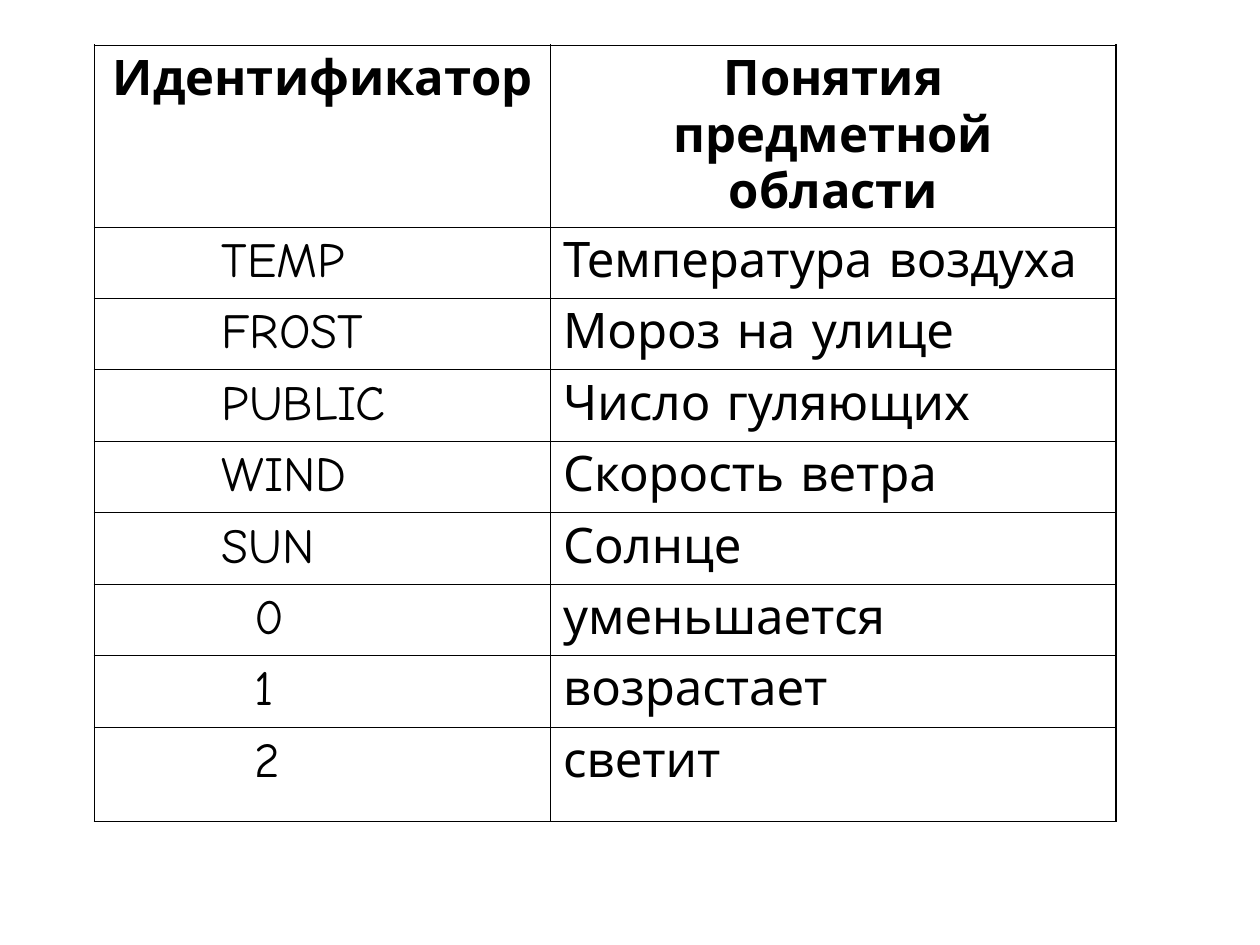
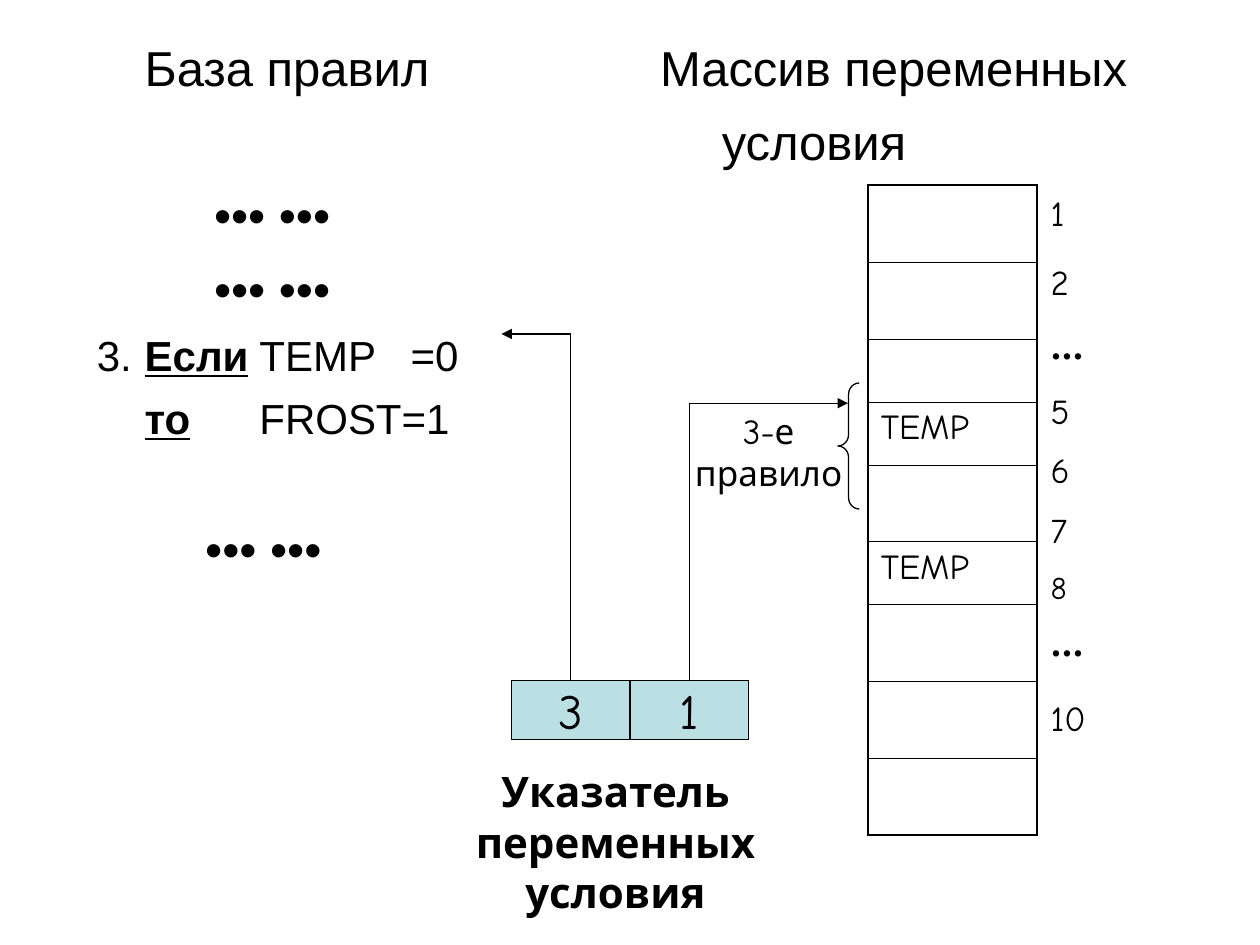
from itertools import accumulate

from lxml import etree
from pptx import Presentation
from pptx.dml.color import RGBColor
from pptx.enum.shapes import MSO_CONNECTOR, MSO_SHAPE
from pptx.enum.text import MSO_ANCHOR, PP_ALIGN
from pptx.oxml.ns import qn
from pptx.util import Inches, Pt

BLACK = RGBColor(0x00, 0x00, 0x00)
PALE_TEAL = RGBColor(0xBB, 0xE0, 0xE3)
LEFT, CENTER = PP_ALIGN.LEFT, PP_ALIGN.CENTER
MIDDLE = MSO_ANCHOR.MIDDLE
RECTANGLE, BRACE = MSO_SHAPE.RECTANGLE, MSO_SHAPE.LEFT_BRACE
STRAIGHT = MSO_CONNECTOR.STRAIGHT
HAND_FONT, PLAIN_FONT = "Comic Neue", "Arial"
GRID_COLUMNS, GRID_ROWS = 100, 75
OUTER_BORDER, INNER_BORDER, LINE_WIDTH = 1.08, 0.45, 0.75
TOP_SIDE = 0

IDENTIFIERS = [
    ("TEMP", "Температура воздуха"),
    ("FROST", "Мороз на улице"),
    ("PUBLIC", "Число гуляющих"),
    ("WIND", "Скорость ветра"),
    ("SUN", "Солнце"),
    ("0", "уменьшается"),
    ("1", "возрастает"),
    ("2", "светит"),
]

RULE_LINES = [
    ("\tБаза правил\tМассив переменных", 28, 0, (3.8, 44.7)),
    ("\tусловия", 28, 8.4, (49.6,)),
    ("\t••• •••", 28, 8.4, (9.3,)),
    ("\t••• •••", 28, 8.4, (9.3,)),
    ("3.\t*Если*\tTEMP\t=0", 24, 7.2, (3.8, 12.9, 24.9)),
    ("\t*то*\tFROST=1", 24, 7.2, (3.8, 12.9)),
    ("\t••• •••", 28, 43, (8.6,)),
]


class SlideBuilder:
    def __init__(self, presentation):
        self.presentation = presentation
        self.column = presentation.slide_width / GRID_COLUMNS
        self.row = presentation.slide_height / GRID_ROWS
        self.slide = None

    def new_slide(self):
        self.slide = self.presentation.slides.add_slide(
            self.presentation.slide_layouts[6])

    def across(self, columns):
        return round(columns * self.column)

    def down(self, rows):
        return round(rows * self.row)

    def box(self, left, top, width, height):
        return (self.across(left), self.down(top),
                self.across(width), self.down(height))

    def style_run(self, run, size, font=HAND_FONT, bold=False):
        run.font.name = font
        run.font.size = Pt(size)
        run.font.bold = bold
        run.font.color.rgb = BLACK

    def set_text(self, text_frame, text, size, align=LEFT, bold=False):
        text_frame.text = text
        for paragraph in text_frame.paragraphs:
            paragraph.alignment = align
            for run in paragraph.runs:
                self.style_run(run, size, bold=bold)

    def text(self, place, text, size, align=LEFT, bold=False):
        text_frame = self.slide.shapes.add_textbox(*self.box(*place)).text_frame
        text_frame.word_wrap = True
        self.set_text(text_frame, text, size, align, bold)

    def tabbed_text(self, place, lines):
        text_frame = self.slide.shapes.add_textbox(*self.box(*place)).text_frame
        text_frame.word_wrap = True
        for index, (line, size, space_before, stops) in enumerate(lines):
            paragraph = (text_frame.add_paragraph() if index
                         else text_frame.paragraphs[0])
            properties = paragraph._p.get_or_add_pPr()
            tabs = etree.SubElement(properties, qn("a:tabLst"))
            for stop in stops:
                etree.SubElement(tabs, qn("a:tab"),
                                 pos=str(self.across(stop)), algn="l")
            paragraph.space_before = Pt(space_before)
            for part, words in enumerate(line.split("*")):
                if words:
                    keyword = part % 2 == 1
                    run = paragraph.add_run()
                    run.text = words
                    self.style_run(run, size, PLAIN_FONT, keyword)
                    run.font.underline = keyword

    def border(self, cell, widths):
        properties = cell._tc.get_or_add_tcPr()
        for index, (side, width) in enumerate(zip("LRTB", widths)):
            line = etree.Element(qn(f"a:ln{side}"), w=str(Pt(width)))
            fill = etree.SubElement(line, qn("a:solidFill"))
            etree.SubElement(fill, qn("a:srgbClr"), val=str(BLACK))
            properties.insert(index, line)

    def table(self, left, top, widths, heights, values, size):
        place = self.box(left, top, sum(widths), sum(heights))
        table = self.slide.shapes.add_table(
            len(heights), len(widths), *place).table
        table.first_row = table.horz_banding = False
        for column, width in zip(table.columns, widths):
            column.width = self.across(width)
        for row, height in zip(table.rows, heights):
            row.height = self.down(height)
        last_row, last_column = len(heights) - 1, len(widths) - 1
        for r, row_values in enumerate(values):
            for c, value in enumerate(row_values):
                cell = table.cell(r, c)
                cell.fill.background()
                edges = (c == 0, c == last_column, r == 0, r == last_row)
                self.border(cell, [OUTER_BORDER if edge else INNER_BORDER
                                   for edge in edges])
                if value:
                    self.set_text(cell.text_frame, value, size)
        return table

    def shape(self, kind, place, fill=None):
        shape = self.slide.shapes.add_shape(kind, *self.box(*place))
        shape.shadow.inherit = False
        shape.line.color.rgb = BLACK
        shape.line.width = Pt(LINE_WIDTH)
        if fill is None:
            shape.fill.background()
        else:
            shape.fill.solid()
            shape.fill.fore_color.rgb = fill
        return shape

    def number_cell(self, place, text):
        shape = self.shape(RECTANGLE, place, PALE_TEAL)
        shape.text_frame.word_wrap = False
        shape.text_frame.vertical_anchor = MIDDLE
        self.set_text(shape.text_frame, text, 28, CENTER)
        return shape

    def line(self, start, end, source=None, arrow=False):
        connector = self.slide.shapes.add_connector(
            STRAIGHT, self.across(start[0]), self.down(start[1]),
            self.across(end[0]), self.down(end[1]))
        if source is not None:
            connector.begin_connect(source, TOP_SIDE)
        connector.line.color.rgb = BLACK
        connector.line.width = Pt(LINE_WIDTH)
        properties = connector._element.spPr
        if arrow:
            etree.SubElement(properties.find(qn("a:ln")),
                             qn("a:tailEnd"), type="triangle")
        etree.SubElement(properties, qn("a:effectLst"))


def build_identifier_slide(builder):
    builder.new_slide()
    header = ("Идентификатор", "Понятия предметной области")
    heights = [14.4] + [5.67] * 7 + [7.5]
    table = builder.table(7.5, 3.6, [36.2, 44.9], heights,
                          [header] + IDENTIFIERS, 28)
    for column, heading in enumerate(header):
        builder.set_text(table.cell(0, column).text_frame, heading, 28,
                         CENTER, True)
    for index, (identifier, _) in enumerate(IDENTIFIERS, 1):
        indent = 12.7 if identifier.isdigit() else 10.1
        table.cell(index, 0).margin_left = builder.across(indent)


def build_rule_slide(builder):
    builder.new_slide()
    builder.tabbed_text((6.7, 2.5, 88.2, 68.5), RULE_LINES)

    tall, short = 6.1, 5
    variables = ["", "", "", "TEMP", "", "TEMP", "", "", ""]
    heights = [tall, tall, short, short, tall, short, tall, tall, tall]
    builder.table(68.9, 14.7, [13.4], heights,
                  [(variable,) for variable in variables], 20)

    labels = ["1", "2", "•••", "5", "6", "7", "8", "•••", "10"]
    steps = [14.7, 5.5, 5.5, 4.7, 4.7, 4.8, 4.7, 4.7, 5.5]
    for label, top in zip(labels, accumulate(steps)):
        builder.text((82.4, top, 6, 4.4), label, 18 if label == "8" else 20)

    cell_width, pointer_left, pointer_top = 9.4, 40.6, 54
    targets = [("3", 39.8, 26.5), ("1", 67.3, 32)]
    for index, (number, target, level) in enumerate(targets):
        left = pointer_left + index * cell_width
        middle = left + cell_width / 2
        cell = builder.number_cell((left, pointer_top, cell_width, 4.7), number)
        builder.line((middle, pointer_top), (middle, level), source=cell)
        builder.line((middle, level), (target, level), arrow=True)

    builder.text((28, 60.3, 41.7, 9), "Указатель переменных\nусловия",
                 24, CENTER, True)
    brace = builder.shape(BRACE, (66.5, 30.4, 1.7, 10))
    brace.adjustments[0] = 0.53
    builder.text((53.9, 32, 14.2, 7.7), "3-е правило", 20, CENTER)


def main():
    presentation = Presentation()
    presentation.slide_width = Inches(10)
    presentation.slide_height = Inches(7.5)
    builder = SlideBuilder(presentation)
    build_identifier_slide(builder)
    build_rule_slide(builder)
    presentation.save("out.pptx")


if __name__ == "__main__":
    main()
